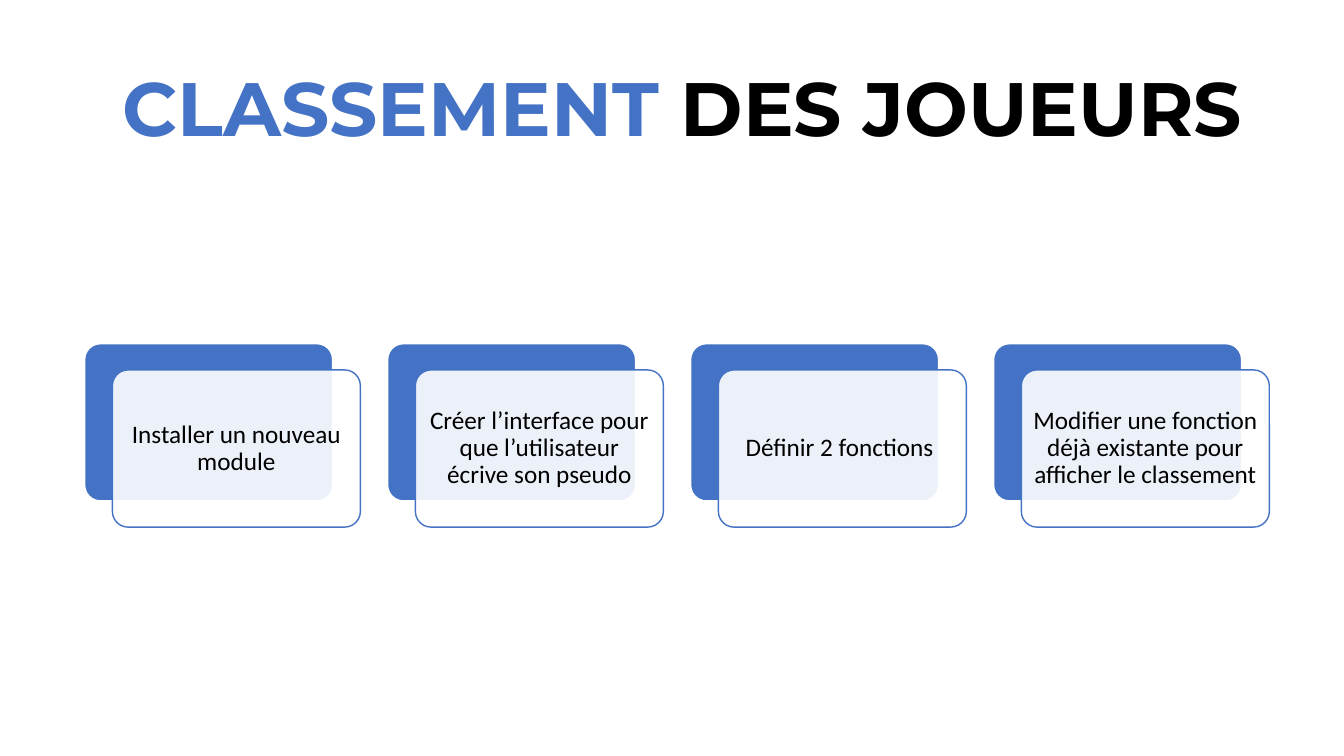
import pptx
import pptx.dml.color
import pptx.enum.shapes
import pptx.enum.text
import pptx.oxml.ns
import pptx.util
from lxml import etree

Inches = pptx.util.Inches
Pt = pptx.util.Pt
RGBColor = pptx.dml.color.RGBColor
CENTER = pptx.enum.text.PP_ALIGN.CENTER

BLUE = RGBColor(0x44, 0x72, 0xC4)
BLACK = RGBColor(0, 0, 0)
WHITE = RGBColor(255, 255, 255)

TITLE = [("CLASSEMENT", BLUE), (" DES JOUEURS", BLACK)]
STEPS = [
    "Installer un nouveau module",
    "Créer l’interface pour que l’utilisateur écrive son pseudo",
    "Définir 2 fonctions ",
    "Modifier une fonction déjà existante pour afficher le classement",
]

FIRST_LEFT, TOP = 0.84, 3.41
CARD_WIDTH, CARD_HEIGHT = 2.46, 1.56
COLUMN_PITCH = 3.005
FRONT_SHIFT_X, FRONT_SHIFT_Y = 0.275, 0.26
INSET = 0.07


def add_title(page):
    """Write the two-colour heading."""
    box = page.shapes.add_textbox(Inches(0.63), Inches(0.56), Inches(12.27), Inches(1.01))
    box.text_frame.word_wrap = True
    para = box.text_frame.paragraphs[0]
    para.alignment = CENTER
    para.font.name = "Montserrat"
    para.font.size = Pt(54)
    para.font.bold = True
    for words, color in TITLE:
        span = para.add_run()
        span.text = words
        span.font.color.rgb = color


def add_card(page, left, top, fill, line):
    """Draw one rounded card and return it."""
    card = page.shapes.add_shape(
        pptx.enum.shapes.MSO_SHAPE.ROUNDED_RECTANGLE,
        Inches(left), Inches(top), Inches(CARD_WIDTH), Inches(CARD_HEIGHT))
    card.adjustments[0] = 0.1
    card.shadow.inherit = False
    card.fill.solid()
    card.fill.fore_color.rgb = fill
    card.line.color.rgb = line
    card.line.width = Pt(1)
    return card


def set_opacity(shape, percent):
    """Make the solid fill of a shape partly transparent."""
    qn = pptx.oxml.ns.qn
    color = shape.element.spPr.find(qn("a:solidFill")).find(qn("a:srgbClr"))
    etree.SubElement(color, qn("a:alpha")).set("val", str(percent * 1000))


def write_step(card, words):
    """Centre the text of a step in its card."""
    frame = card.text_frame
    frame.word_wrap = True
    frame.vertical_anchor = pptx.enum.text.MSO_ANCHOR.MIDDLE
    frame.margin_left = frame.margin_right = Inches(INSET)
    frame.margin_top = frame.margin_bottom = Inches(INSET)
    para = frame.paragraphs[0]
    para.text = words
    para.alignment = CENTER
    para.line_spacing = 0.9
    para.font.name = "Calibri"
    para.font.size = Pt(18)
    para.font.color.rgb = BLACK


deck = pptx.Presentation()
deck.slide_width = Inches(13.33)
deck.slide_height = Inches(7.5)
page = deck.slides.add_slide(deck.slide_layouts[6])

add_title(page)
for column, words in enumerate(STEPS):
    left = FIRST_LEFT + column * COLUMN_PITCH
    add_card(page, left, TOP, BLUE, WHITE)
    front = add_card(page, left + FRONT_SHIFT_X, TOP + FRONT_SHIFT_Y, WHITE, BLUE)
    set_opacity(front, 90)
    write_step(front, words)

deck.save("out.pptx")
